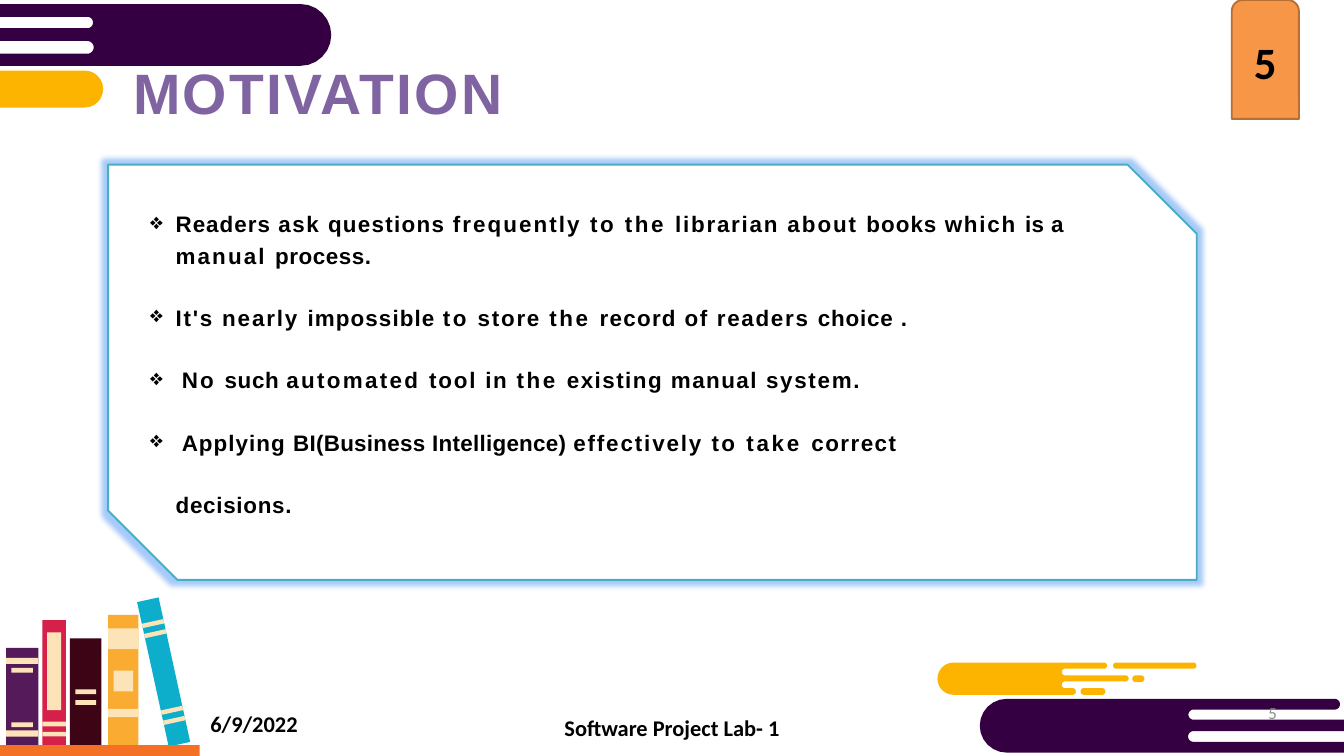
from math import cos, pi, sin

from lxml.etree import SubElement
from pptx import Presentation
from pptx.dml.color import RGBColor
from pptx.enum.shapes import MSO_SHAPE
from pptx.enum.text import MSO_ANCHOR, PP_ALIGN
from pptx.oxml.ns import qn
from pptx.util import Inches, Pt

THEME = {
    "dark": "340041", "gold": "FDB400", "cream": "FDE3B8", "plum": "541A59",
    "teal": "0DAECC", "red": "D5204A", "wine": "3C0415", "amber": "F9AC31",
    "shelf": "F47025", "title": "8064A2", "ink": "000000", "gray": "8C8C8C",
    "white": "FFFFFF", "edge": "4BACC6", "glow": "1F7CEB",
    "tab": "F79646", "rim": "B76F34",
    "head": 61, "body": 24, "small": 18, "big": 48,
    "sans": "Arial", "plain": "Calibri",
}

# Each bullet is a list of lines; each line is a list of (text, letter spacing).
BULLETS = [
    [[("Readers ", 1.1), ("ask ", 1.6), ("questions ", 1.4), ("frequently ", 2.2),
      ("to ", 2.6), ("the ", 2.8), ("librarian ", 1.9), ("about ", 2.1),
      ("books ", 1.1), ("which ", 1.9), ("is ", 0.4), ("a manual ", 2.3),
      ("process.", 0.6)]],
    [[("It's ", 1.9), ("nearly ", 2), ("impossible ", 1.2), ("to ", 2.6),
      ("store ", 1.9), ("the ", 2.8), ("record ", 1.4), ("of readers ", 1.8),
      ("choice ", 0.9), (".", 0.3)]],
    [[(" ", 0), ("No ", 2.4), ("such ", 0.7), ("automated ", 2.5), ("tool ", 1.9),
      ("in ", 1.8), ("the ", 2.8), ("existing manual ", 1.6), ("system.", 1.8)]],
    [[(" ", 0), ("Applying ", 1.1), ("BI(Business Intelligence) ", 0.3),
      ("effectively ", 2), ("to ", 2.6), ("take ", 3), ("correct ", 1.6)],
     [("decisions.", 0.8)]],
]

# Upright books: left, width, top, colour, then cream marks (inset, top, height).
BOOKS = [
    (0.09, 0.48, 9.64, "plum",
     [(0, 9.79, 0.09), (0.08, 9.94, 0.07), (0, 10.87, 0.09), (0.08, 10.75, 0.07)]),
    (0.63, 0.35, 9.23, "red",
     [(0, 10.74, 0.07), (0, 10.89, 0.07), (0.07, 9.41, 1.16)]),
    (1.04, 0.47, 9.5, "wine", [(0.08, 10.26, 0.07), (0.08, 10.42, 0.07)]),
    (1.61, 0.45, 9.15, "amber",
     [(0, 9.35, 0.31), (0.08, 9.98, 0.31), (0, 10.55, 0.12)]),
]
SHELF = 11.09

# Leaning book: top corners, slope to the foot, band spans along the spine.
LEAN = ((2.04, 8.96), (2.36, 8.89))
SLOPE = (0.47, 2.15)
BANDS = [(0.15, 0.18), (0.22, 0.25), (0.75, 0.78), (0.82, 0.85)]


def cap(x, start, end, side):
    """Points of a half circle from start to end; side 1 bulges right, -1 left."""
    mid, half = (start + end) / 2, (start - end) / 2
    turns = [pi * i / 12 for i in range(13)]
    return [(x + side * abs(half) * sin(t), mid + half * cos(t)) for t in turns]


def pill(left, right, top, foot):
    return cap(left, foot, top, -1) + cap(right, top, foot, 1)


def slice_book(start, end):
    """Four corners of the leaning book between two fractions of its length."""
    (a, b), (dx, dy) = LEAN, SLOPE
    spots = [(a, start), (b, start), (b, end), (a, end)]
    return [(x + dx * part, y + dy * part) for (x, y), part in spots]


OUTLINES = [
    ("dark", [[(20, 11.2)] + cap(14.98, 11.2, 10.4, -1) + cap(19.86, 10.4, 10.56, 1)
              + cap(17.76, 10.56, 10.71, -1) + [(20, 10.71), (20, 10.88)]
              + cap(17.76, 10.88, 11.04, -1) + [(20, 11.04)]]),
    ("gold", [cap(14.19, 10.34, 9.86, -1) + cap(16.43, 9.86, 9.95, 1)
              + cap(15.85, 9.95, 10.05, -1) + cap(16.75, 10.05, 10.14, 1)
              + cap(15.85, 10.14, 10.24, -1) + cap(15.96, 10.24, 10.34, 1),
              pill(16.61, 17.76, 9.86, 9.95), pill(16.9, 16.98, 10.05, 10.15),
              pill(16.13, 16.4, 10.24, 10.34)]),
    ("dark", [[(0, 0.06)] + cap(4.47, 0.06, 0.98, 1) + [(0, 0.98), (0, 0.8)]
              + cap(1.3, 0.8, 0.61, 1) + [(0, 0.61), (0, 0.42)]
              + cap(1.3, 0.42, 0.25, 1) + [(0, 0.25)]]),
    ("gold", [[(0, 1.05)] + cap(1.26, 1.05, 1.6, 1) + [(0, 1.6)]]),
    ("teal", [slice_book(0, 1)]),
    ("cream", [slice_book(*band) for band in BANDS]),
]


def tint(name):
    return RGBColor.from_string(THEME[name])


def paint(shape, fill, line=None):
    shape.shadow.inherit = False
    shape.fill.solid()
    shape.fill.fore_color.rgb = tint(fill)
    if line:
        shape.line.color.rgb = tint(line)
        shape.line.width = Pt(2)
    else:
        shape.line.fill.background()
    return shape


def draw(slide, fill, loops):
    pen = None
    for loop in loops:
        first, *rest = [(Inches(x), Inches(y)) for x, y in loop]
        if pen is None:
            pen = slide.shapes.build_freeform(*first, scale=1.0)
        else:
            pen.move_to(*first)
        pen.add_line_segments(rest, close=True)
    paint(pen.convert_to_shape(), fill)


def block(slide, kind, box, fill, line=None):
    return paint(slide.shapes.add_shape(kind, *map(Inches, box)), fill, line)


def write(para, text, size, font, color="ink", bold=True, gap=0):
    run = para.add_run()
    run.text = text
    run.font.size = Pt(THEME[size])
    run.font.name = THEME[font]
    run.font.bold = bold
    run.font.color.rgb = tint(color)
    if gap:
        run._r.get_or_add_rPr().set("spc", str(round(gap * 100)))


def label(slide, box, text, size, font, align=PP_ALIGN.LEFT, **style):
    frame = slide.shapes.add_textbox(*map(Inches, box)).text_frame
    frame.word_wrap = True
    frame.margin_left = frame.margin_right = 0
    frame.margin_top = frame.margin_bottom = 0
    frame.paragraphs[0].alignment = align
    write(frame.paragraphs[0], text, size, font, **style)


def add_books(slide):
    rect = MSO_SHAPE.RECTANGLE
    for left, width, top, color, marks in BOOKS:
        block(slide, rect, (left, top, width, SHELF - top), color)
        for inset, y, high in marks:
            block(slide, rect, (left + inset, y, width - 2 * inset, high), "cream")
    block(slide, rect, (0, SHELF, 2.97, 11.25 - SHELF), "shelf")


def add_panel(slide):
    panel = block(slide, MSO_SHAPE.SNIP_2_DIAG_RECTANGLE,
                  (1.61, 2.45, 16.2, 6.18), "white", "edge")
    glow = SubElement(panel._element.spPr.find(qn("a:effectLst")), qn("a:glow"), rad="139700")
    color = SubElement(glow, qn("a:srgbClr"), val=THEME["glow"])
    SubElement(color, qn("a:alpha"), val="40000")

    frame = panel.text_frame
    frame.word_wrap = True
    frame.vertical_anchor = MSO_ANCHOR.MIDDLE
    frame.margin_right = Inches(0.3)
    frame.margin_bottom = Inches(0.35)
    for i, lines in enumerate(BULLETS):
        para = frame.add_paragraph() if i else frame.paragraphs[0]
        para.alignment = PP_ALIGN.LEFT
        para.line_spacing = 2.32 if i else 1.16
        props = para._p.get_or_add_pPr()
        props.set("marL", str(Inches(0.39)))
        props.set("indent", str(Inches(-0.38)))
        SubElement(props, qn("a:buChar"), char="❖")
        for j, line in enumerate(lines):
            if j:
                para.add_line_break()
            for text, gap in line:
                write(para, text, "body", "sans", gap=gap)


def main():
    deck = Presentation()
    deck.slide_width, deck.slide_height = Inches(20), Inches(11.25)
    slide = deck.slides.add_slide(deck.slide_layouts[6])
    for fill, loops in OUTLINES:
        draw(slide, fill, loops)
    add_books(slide)
    label(slide, (1.98, 0.86, 5.7, 1.04), "MOTIVATION", "head", "sans",
          color="title", gap=2.5)
    add_panel(slide)
    label(slide, (3.13, 10.57, 3.96, 0.4), "6/9/2022", "body", "plain")
    label(slide, (14.4, 10.46, 4.6, 0.56), "5", "small", "plain",
          PP_ALIGN.RIGHT, color="gray", bold=False)
    label(slide, (6.8, 10.63, 6.4, 0.4), "Software Project Lab- 1", "body", "plain",
          PP_ALIGN.CENTER)
    tab = block(slide, MSO_SHAPE.ROUND_2_SAME_RECTANGLE, (18.33, 0, 1, 1.77), "tab", "rim")
    tab.text_frame.vertical_anchor = MSO_ANCHOR.MIDDLE
    tab.text_frame.paragraphs[0].alignment = PP_ALIGN.CENTER
    write(tab.text_frame.paragraphs[0], "5", "big", "plain")
    deck.save("out.pptx")


if __name__ == "__main__":
    main()
